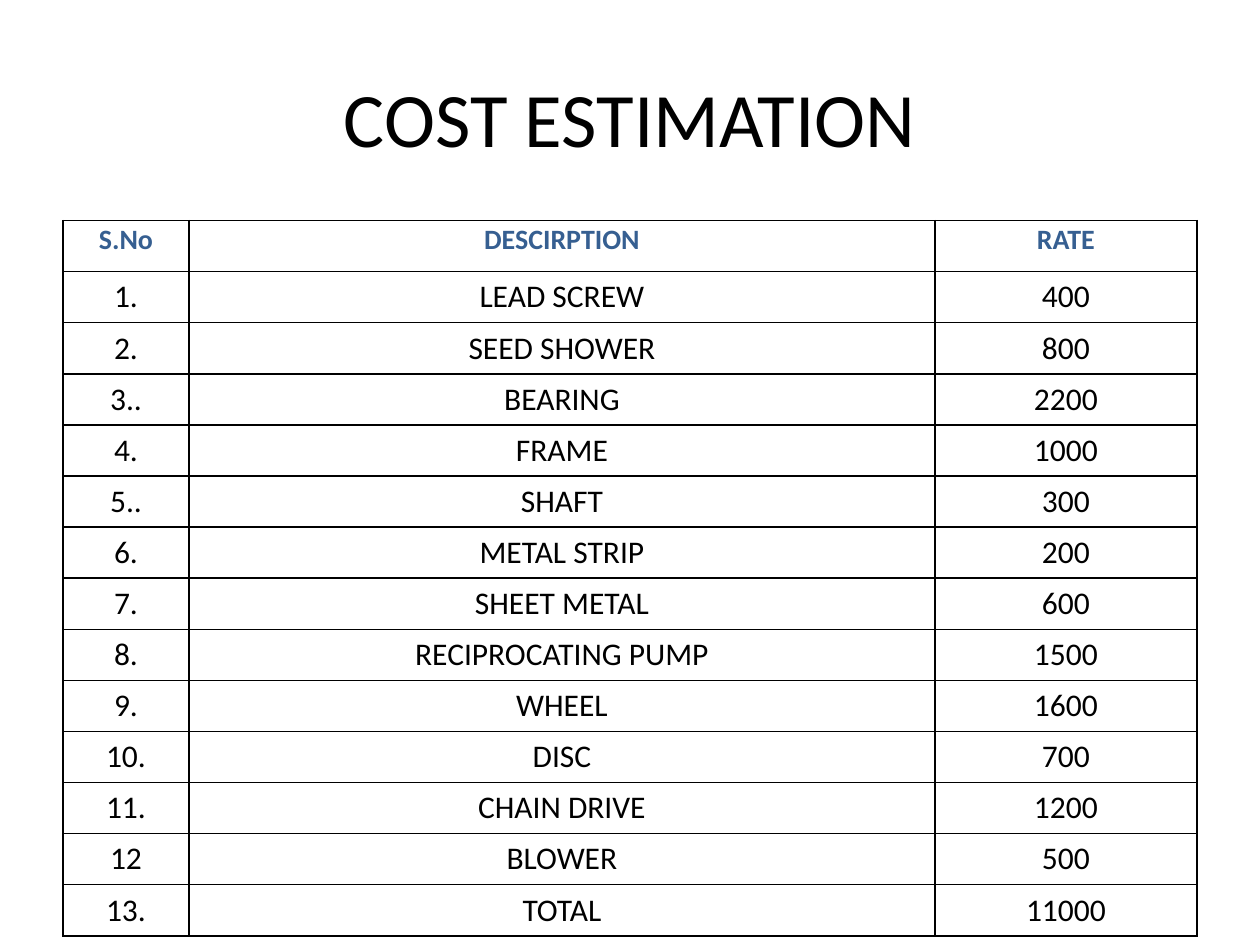
"""Build the cost estimation slide with its table of parts and rates."""
from typing import NamedTuple

from lxml.etree import SubElement
from pptx import Presentation
from pptx.dml.color import RGBColor
from pptx.enum.text import MSO_ANCHOR as Anchor, PP_ALIGN as Align
from pptx.oxml.ns import qn
from pptx.util import Inches, Pt


class Item(NamedTuple):
    number: str
    description: str
    rate: str


class Style(NamedTuple):
    font: dict
    paragraph: dict
    cell: dict


HEADER = Item("S.No", "DESCIRPTION", "RATE")
ITEMS = [
    Item("1.", "LEAD SCREW", "400"),
    Item("2.", "SEED SHOWER", "800"),
    Item("3..", "BEARING", "2200"),
    Item("4.", "FRAME", "1000"),
    Item("5..", "SHAFT", "300"),
    Item("6.", "METAL STRIP", "200"),
    Item("7.", "SHEET METAL", "600"),
    Item("8.", "RECIPROCATING PUMP", "1500"),
    Item("9.", "WHEEL", "1600"),
    Item("10.", "DISC", "700"),
    Item("11.", "CHAIN DRIVE", "1200"),
    Item("12", "BLOWER", "500"),
    Item("13.", "TOTAL", "11000"),
]
COL_WIDTHS = (1, 5.92, 2.08)
TABLE_HEIGHT = 5.68
BLACK, BLUE = "000000", "365F91"

TITLE_STYLE = Style({"name": "Calibri", "size": Pt(44)}, {"alignment": Align.CENTER}, {})
HEADER_STYLE = Style(
    {"name": "Calibri", "size": Pt(16), "bold": True},
    {"alignment": Align.CENTER, "line_spacing": 1.07, "space_before": Pt(24)},
    {"margin_left": Inches(0.07), "margin_right": Inches(0.07),
     "margin_top": 0, "margin_bottom": 0},
)
BODY_STYLE = Style(
    {"name": "Calibri", "size": Pt(18), "bold": False},
    {"alignment": Align.CENTER},
    {},
)


def rgb(value: str) -> RGBColor:
    return RGBColor.from_string(value)


def apply(target, values: dict) -> None:
    for name, value in values.items():
        setattr(target, name, value)


def write(tf, text: str, style: Style, color: str) -> None:
    p = tf.paragraphs[0]
    apply(p, style.paragraph)
    r = p.add_run()
    r.text = text
    apply(r.font, style.font)
    r.font.color.rgb = rgb(color)


def add_borders(cell, color: str, width: float) -> None:
    tc_pr = cell._tc.get_or_add_tcPr()
    for side in ("L", "R", "T", "B"):
        ln = SubElement(tc_pr, qn(f"a:ln{side}"), w=str(Pt(width)))
        fill = SubElement(ln, qn("a:solidFill"))
        SubElement(fill, qn("a:srgbClr"), val=color)


def fill_row(cells, item: Item, style: Style, color: str) -> None:
    for cell, text in zip(cells, item):
        apply(cell, style.cell)
        write(cell.text_frame, text, style, color)
        add_borders(cell, BLACK, 1)
        cell.fill.background()


def add_title(s, text: str) -> None:
    sp = s.shapes.title
    apply(sp, {"left": Inches(0.5), "top": Inches(0.3),
               "width": Inches(9), "height": Inches(1.25)})
    sp.text_frame.vertical_anchor = Anchor.MIDDLE
    write(sp.text_frame, text, TITLE_STYLE, BLACK)


def add_cost_table(s, items: list[Item]) -> None:
    n_rows = len(items) + 1
    table = s.shapes.add_table(
        n_rows, len(COL_WIDTHS), Inches(0.5), Inches(1.75),
        Inches(sum(COL_WIDTHS)), Inches(TABLE_HEIGHT)).table
    apply(table, {"first_row": False, "horz_banding": False})
    for col, width in zip(table.columns, COL_WIDTHS):
        col.width = Inches(width)
    for row in table.rows:
        row.height = Inches(TABLE_HEIGHT / n_rows)
    header, *body = table.rows
    fill_row(header.cells, HEADER, HEADER_STYLE, BLUE)
    for row, item in zip(body, items):
        fill_row(row.cells, item, BODY_STYLE, BLACK)


def main() -> None:
    prs = Presentation()
    apply(prs, {"slide_width": Inches(10), "slide_height": Inches(7.5)})
    s = prs.slides.add_slide(prs.slide_layouts[5])
    add_title(s, "COST ESTIMATION")
    add_cost_table(s, ITEMS)
    prs.save("out.pptx")


if __name__ == "__main__":
    main()
